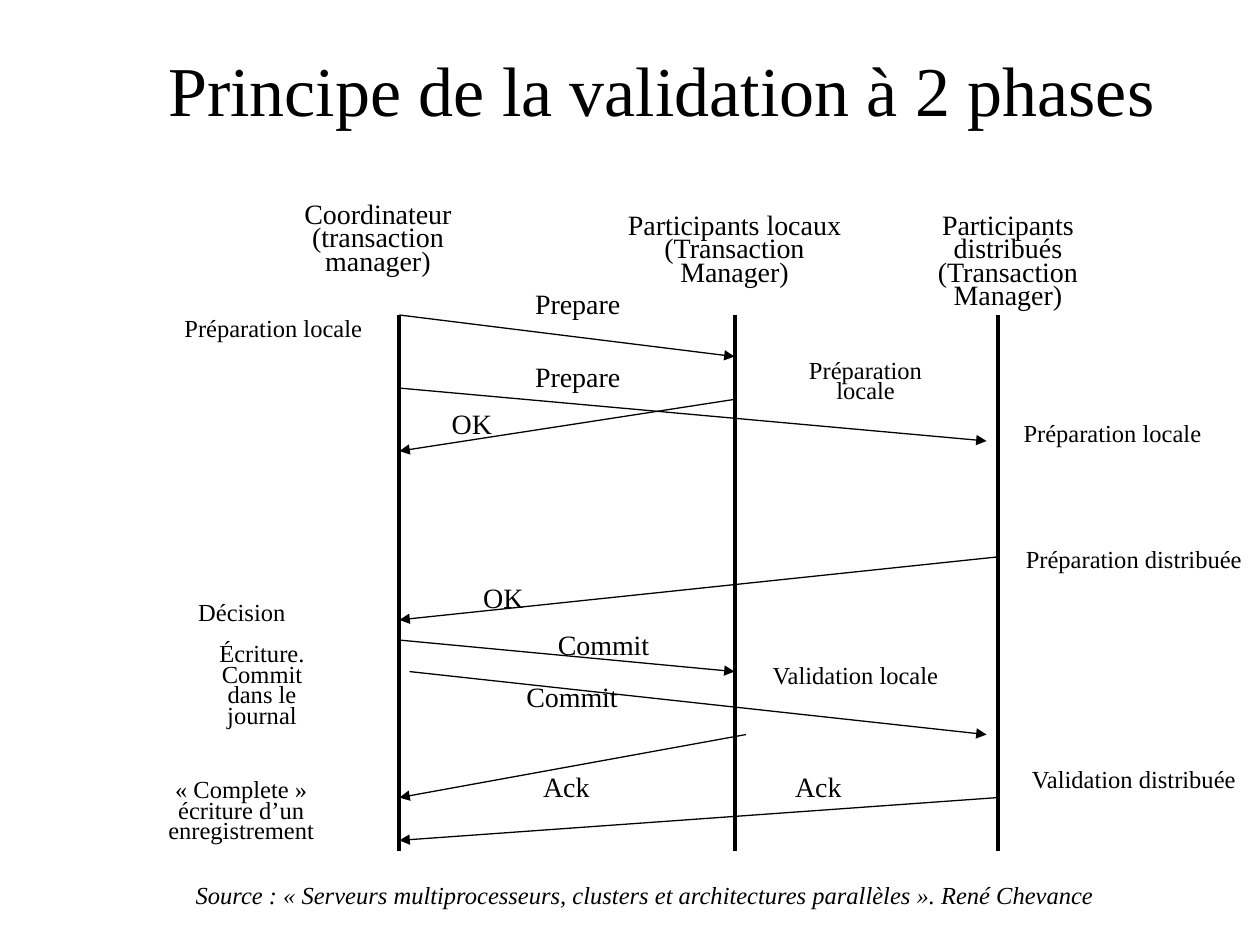
"""Build a slide showing the message exchange of two-phase commit."""
from typing import NamedTuple

from lxml import etree
from pptx import Presentation
from pptx import util as u
from pptx.dml.color import RGBColor
from pptx.enum import shapes, text
from pptx.oxml import ns

BLACK = RGBColor(0, 0, 0)
WHITE = RGBColor(255, 255, 255)
FONT = "Times New Roman"
COORD, LOCAL, DIST = 3.17, 5.83, 7.92
TOP, END = 2.5, 6.75
NEAR = 7.83


class Label(NamedTuple):
    words: str
    left: float
    top: float
    width: float
    height: float
    size: int = 14
    slant: bool = False


class Arrow(NamedTuple):
    x1: float
    y1: float
    x2: float
    y2: float


HEADS = [
    Label("Coordinateur (transaction manager)", 2, 1.58, 2, 0.66, 16),
    Label("Participants locaux (Transaction Manager)", 4.83, 1.67, 2, 0.66, 16),
    Label("Participants distribués (Transaction Manager)", 7, 1.67, 2, 0.85, 16),
]
CALLS = [
    Label(words, left, top, width, 0.29, 16)
    for words, left, top, width in [
        ("Prepare", 4, 2.3, 1.17),
        ("Prepare", 4, 2.88, 1.17),
        ("OK", 3.33, 3.25, 0.83),
        ("OK", 3.58, 4.63, 0.83),
        ("Commit", 4.25, 5, 1.08),
        ("Commit", 4, 5.42, 1.08),
        ("Ack", 4.08, 6.13, 0.83),
        ("Ack", 6.08, 6.13, 0.83),
    ]
]
STEPS = [
    Label("Préparation locale", 1.17, 2.5, 2, 0.27),
    Label("Préparation locale", 6.08, 2.83, 1.58, 0.43),
    Label("Préparation locale", 7.83, 3.33, 2, 0.27),
    Label("Préparation distribuée", 8, 4.33, 2, 0.27),
    Label("Décision", 1.42, 4.75, 1, 0.27),
    Label("Écriture. Commit dans le journal", 1.58, 5.08, 1, 0.76),
    Label("Validation locale", 6, 5.25, 1.58, 0.27),
    Label("Validation distribuée", 8, 6.08, 2, 0.27),
    Label("« Complete » écriture d’un enregistrement", 1.08, 6.16, 1.67, 0.59),
]
CREDIT = Label(
    "Source : « Serveurs multiprocesseurs, clusters et architectures "
    "parallèles ». René Chevance", 0.33, 7, 9.58, 0.27, slant=True)
ARROWS = [
    Arrow(COORD, TOP, LOCAL, 2.83),
    Arrow(LOCAL, 3.17, COORD, 3.58),
    Arrow(COORD, 3.08, NEAR, 3.5),
    Arrow(DIST, 4.42, COORD, 4.92),
    Arrow(COORD, 5.08, LOCAL, 5.33),
    Arrow(3.25, 5.33, NEAR, 5.83),
    Arrow(5.92, 5.83, COORD, 6.33),
    Arrow(DIST, 6.33, COORD, 6.67),
]


def add_run(para, words: str, size: int, slant: bool = False) -> None:
    """Add one centred run in the slide's typeface."""
    para.alignment = text.PP_ALIGN.CENTER
    run = para.add_run()
    run.text = words
    font = run.font
    font.name, font.size, font.italic = FONT, u.Pt(size), slant
    font.color.rgb = BLACK


def add_label(slide, label: Label) -> None:
    """Draw a tightly spaced, wrapped label."""
    spot = map(u.Inches, (label.left, label.top, label.width, label.height))
    frame = slide.shapes.add_textbox(*spot).text_frame
    frame.word_wrap = True
    frame.auto_size = text.MSO_AUTO_SIZE.SHAPE_TO_FIT_TEXT
    para = frame.paragraphs[0]
    para.line_spacing = 0.7
    para.space_before = u.Pt(label.size * 0.625)
    add_run(para, label.words, label.size, label.slant)


def add_line(slide, ends: Arrow, width: float, tip: bool = False) -> None:
    """Draw a plain line or an arrow."""
    line = slide.shapes.add_connector(
        shapes.MSO_CONNECTOR.STRAIGHT, *map(u.Inches, ends))
    line.line.color.rgb = BLACK
    line.line.width = u.Pt(width)
    if tip:
        stroke = line.line._get_or_add_ln()
        etree.SubElement(stroke, ns.qn("a:tailEnd"), type="triangle")
    etree.SubElement(line._element.spPr, ns.qn("a:effectLst"))


def add_title(slide, words: str) -> None:
    """Place and fill the title."""
    title = slide.shapes.title
    title.left, title.top = u.Inches(1), u.Inches(0.08)
    title.width, title.height = u.Inches(8.5), u.Inches(1.25)
    frame = title.text_frame
    frame.word_wrap = True
    frame.auto_size = text.MSO_AUTO_SIZE.NONE
    frame.vertical_anchor = text.MSO_ANCHOR.MIDDLE
    add_run(frame.paragraphs[0], words, 40)


def main() -> None:
    """Build and save the slide."""
    deck = Presentation()
    deck.slide_width, deck.slide_height = u.Inches(10), u.Inches(7.5)
    slide = deck.slides.add_slide(deck.slide_layouts[5])
    slide.background.fill.solid()
    slide.background.fill.fore_color.rgb = WHITE
    add_title(slide, "Principe de la validation à 2 phases")
    for x in (COORD, LOCAL, DIST):
        add_line(slide, Arrow(x, TOP, x, END), 2.25)
    for arrow in ARROWS:
        add_line(slide, arrow, 0.75, tip=True)
    for label in HEADS + CALLS + STEPS + [CREDIT]:
        add_label(slide, label)
    deck.save("out.pptx")


if __name__ == "__main__":
    main()
